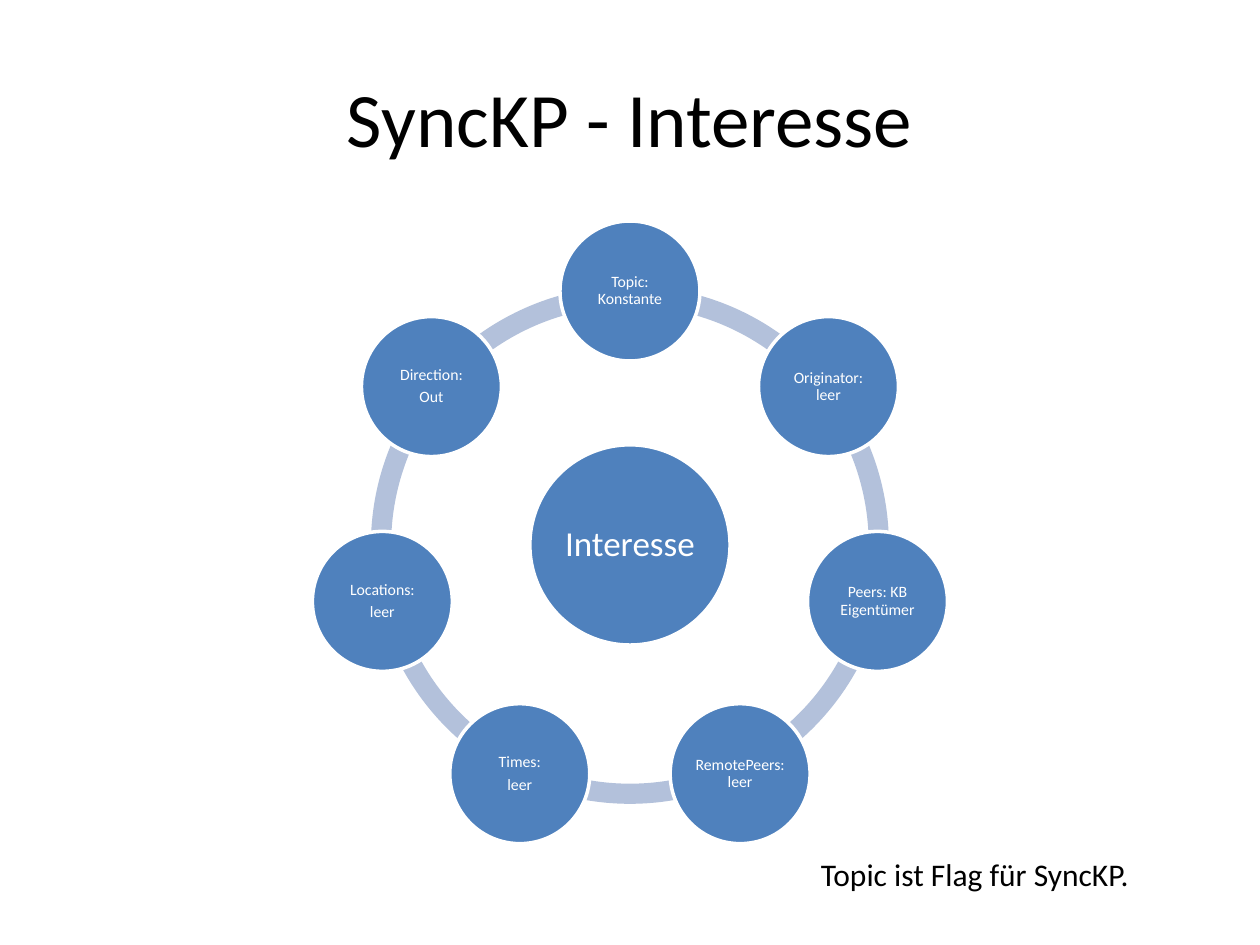
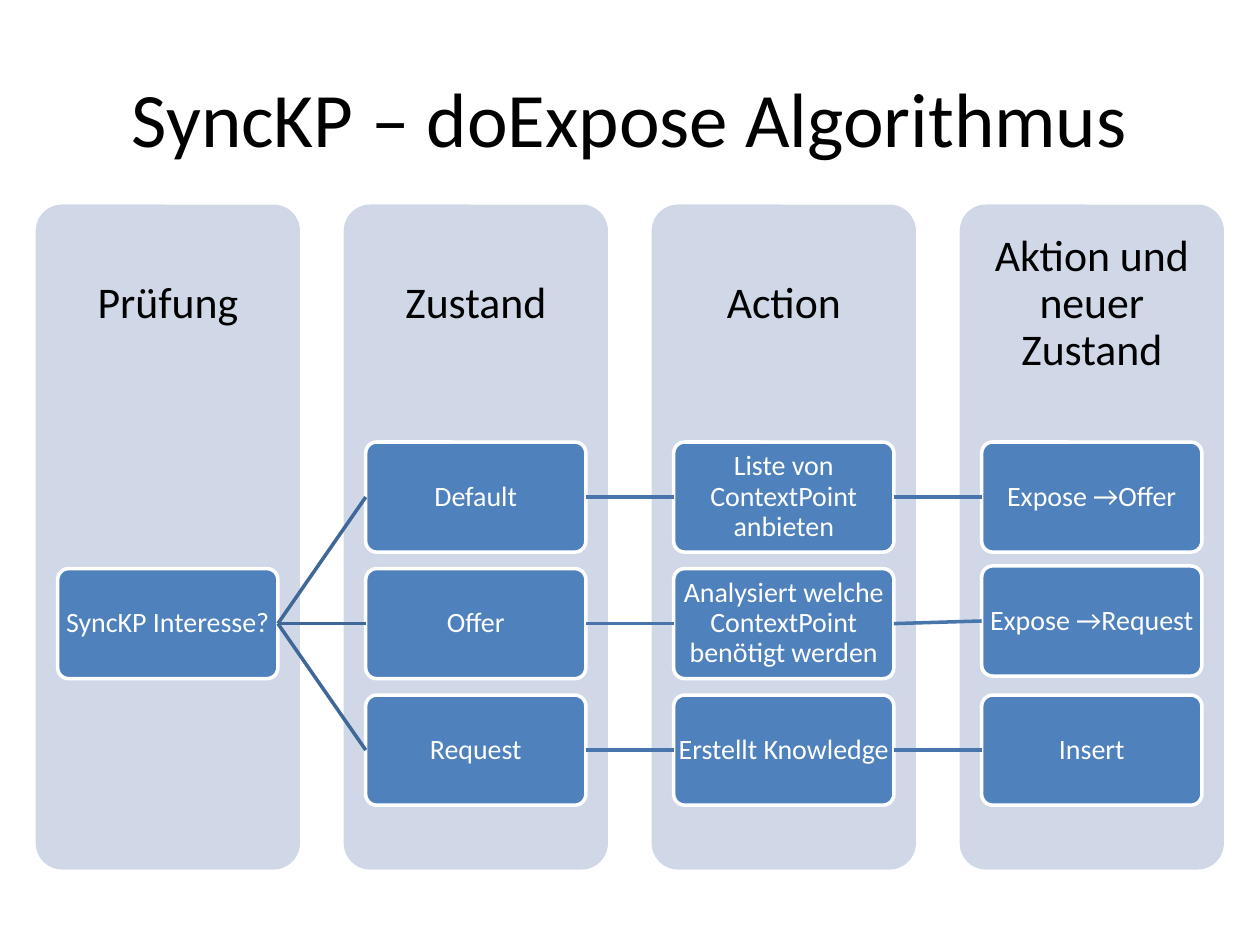
import math
from pptx import Presentation
from pptx.dml import color
from pptx.enum import shapes, text
from pptx.oxml import xmlchemy
from pptx.util import Pt

COLORS = {
    "text": "000000",
    "light": "FFFFFF",
    "node": "4F81BD",
    "arc": "B3C1DB",
    "column": "D0D8E8",
    "branch": "3F6797",
    "chain": "4875AC",
}
FONT = "Calibri"
KINDS = shapes.MSO_SHAPE
LEFT_SITE, RIGHT_SITE = 1, 3


def rgb(name):
    return color.RGBColor.from_string(COLORS[name])


class Deck:
    def __init__(self, width, height):
        self.presentation = Presentation()
        self.presentation.slide_width = Pt(width)
        self.presentation.slide_height = Pt(height)
        self.slide = None

    def new_slide(self, title):
        self.slide = self.presentation.slides.add_slide(self.presentation.slide_layouts[6])
        self.text_box(title, 36, 21.6, 648, 90, 44)

    def label(self, shape, content, size, ink, insets, centered=True, spacing=1.0, after=0.0):
        frame = shape.text_frame
        frame.text = content
        frame.word_wrap = True
        frame.vertical_anchor = text.MSO_ANCHOR.MIDDLE if centered else text.MSO_ANCHOR.TOP
        frame.margin_left = frame.margin_right = Pt(insets[0])
        frame.margin_top = frame.margin_bottom = Pt(insets[1])
        for paragraph in frame.paragraphs:
            paragraph.alignment = text.PP_ALIGN.CENTER if centered else text.PP_ALIGN.LEFT
            paragraph.line_spacing = spacing
            paragraph.space_after = Pt(after)
            for run in paragraph.runs:
                run.font.name = FONT
                run.font.size = Pt(size)
                run.font.color.rgb = rgb(ink)

    def text_box(self, content, left, top, width, height, size, insets=(7.2, 3.6), **style):
        box = self.slide.shapes.add_textbox(Pt(left), Pt(top), Pt(width), Pt(height))
        self.label(box, content, size, "text", insets, **style)

    def block(self, kind, left, top, width, height, fill, adjustments=()):
        shape = self.slide.shapes.add_shape(kind, Pt(left), Pt(top), Pt(width), Pt(height))
        shape.shadow.inherit = False
        shape.fill.solid()
        shape.fill.fore_color.rgb = rgb(fill)
        shape.line.fill.background()
        for index, value in enumerate(adjustments):
            shape.adjustments[index] = value
        return shape

    def node(self, kind, content, left, top, width, height, size, inset, adjustments=()):
        shape = self.block(kind, left, top, width, height, "node", adjustments)
        shape.line.color.rgb = rgb("light")
        shape.line.width = Pt(2)
        self.label(shape, content, size, "light", (inset, inset), spacing=0.9, after=0.35 * size)
        return shape

    def circle(self, content, center_x, center_y, diameter, size, inset):
        radius = diameter / 2
        self.node(KINDS.OVAL, content, center_x - radius, center_y - radius,
                  diameter, diameter, size, inset)

    def link(self, source, target, ink):
        connector = self.slide.shapes.add_connector(shapes.MSO_CONNECTOR.STRAIGHT, 0, 0, 0, 0)
        connector.begin_connect(source, RIGHT_SITE)
        connector.end_connect(target, LEFT_SITE)
        connector.line.color.rgb = rgb(ink)
        connector.line.width = Pt(2)
        properties = connector.element.spPr
        properties.append(xmlchemy.OxmlElement("a:effectLst"))


def build_interest(deck):
    deck.new_slide("SyncKP - Interesse")
    center_x, center_y = 360, 311.4
    orbit, ring = 145.1, 296
    labels = ["Topic: Konstante", "Originator: leer", "Peers: KB Eigentümer",
              "RemotePeers: leer", "Times:\nleer", "Locations:\nleer", "Direction:\nOut"]
    step = 360 / len(labels)
    angles = [(270 + step * index) % 360 for index in range(len(labels))]
    for angle in angles:
        end = (angle + step) % 360
        deck.block(KINDS.BLOCK_ARC, center_x - ring / 2, center_y - ring / 2, ring, ring,
                   "arc", (angle * 0.6, end * 0.6, 0.039))
    deck.circle("Interesse", center_x, center_y, 114.4, 20, 2)
    for label, angle in zip(labels, angles):
        radians = math.radians(angle)
        deck.circle(label, center_x + orbit * math.cos(radians),
                    center_y + orbit * math.sin(radians), 80, 9, 0.9)
    deck.text_box("Topic ist Flag für SyncKP.", 462, 485.3, 238.3, 29, 18, centered=False)


def build_algorithm(deck):
    deck.new_slide("SyncKP – doExpose Algorithmus")
    left, top, pitch, width = 20.4, 116.9, 176, 151
    card_width, card_height, row_top, row_pitch = 125.8, 62.9, 252.6, 72.3
    indent = (width - card_width) / 2
    headings = ["Prüfung", "Zustand", "Action", "Aktion und neuer Zustand"]
    rows = [
        ["Default", "Liste von ContextPoint anbieten", "Expose →Offer"],
        ["Offer", "Analysiert welche ContextPoint benötigt werden", "Expose →Request"],
        ["Request", "Erstellt Knowledge", "Insert"],
    ]
    raised = {"Expose →Request": 1.5}

    def card(label, column, row):
        card_top = row_top + row * row_pitch - raised.get(label, 0)
        return deck.node(KINDS.ROUNDED_RECTANGLE, label, left + column * pitch + indent,
                         card_top, card_width, card_height, 16, 0.75, (0.1,))

    for column, heading in enumerate(headings):
        column_left = left + column * pitch
        deck.block(KINDS.ROUNDED_RECTANGLE, column_left, top, width, 380, "column", (0.1,))
        deck.text_box(heading, column_left, top, width, 114, 25, (13.7, 13.7),
                      spacing=0.9, after=8.75)
    question = card("SyncKP Interesse?", 0, 1)
    for row, labels in enumerate(rows):
        previous, ink = question, "branch"
        for column, label in enumerate(labels, 1):
            current = card(label, column, row)
            deck.link(previous, current, ink)
            previous, ink = current, "chain"


def main():
    deck = Deck(720, 540)
    build_interest(deck)
    build_algorithm(deck)
    deck.presentation.save("out.pptx")


if __name__ == "__main__":
    main()
